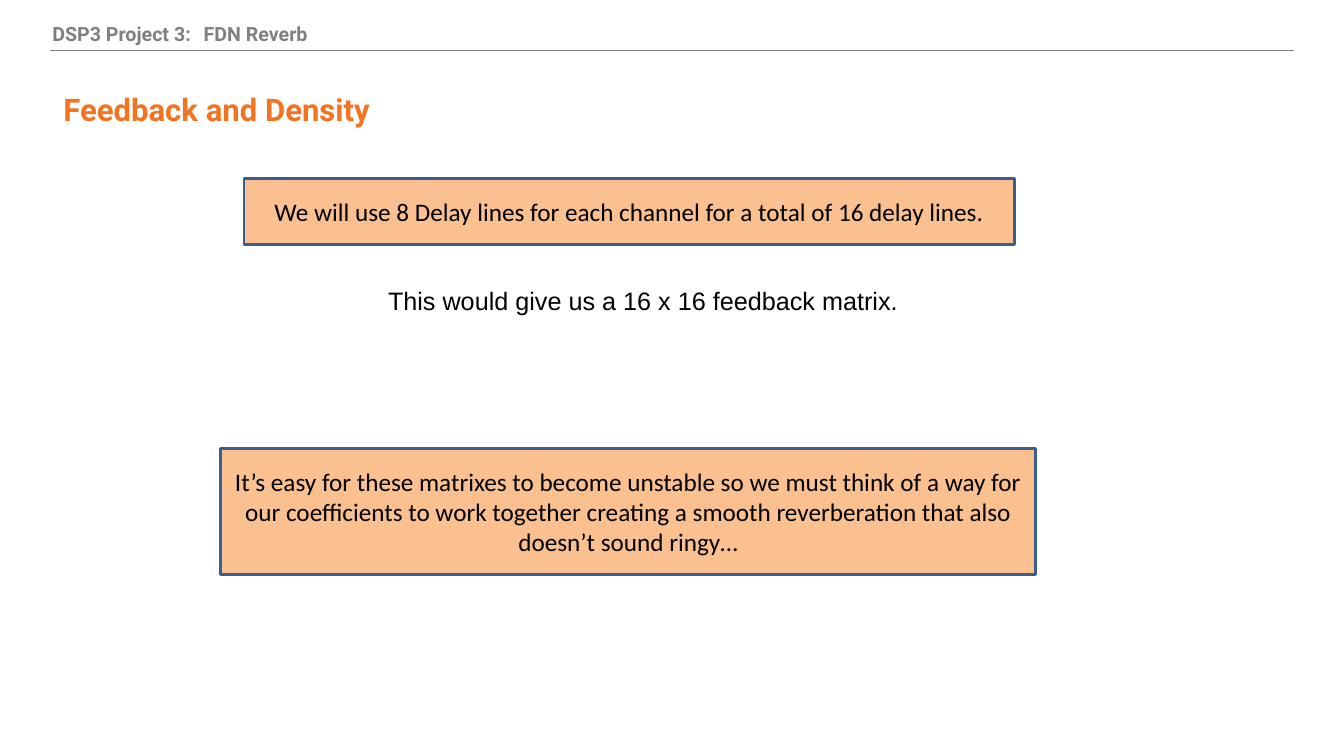
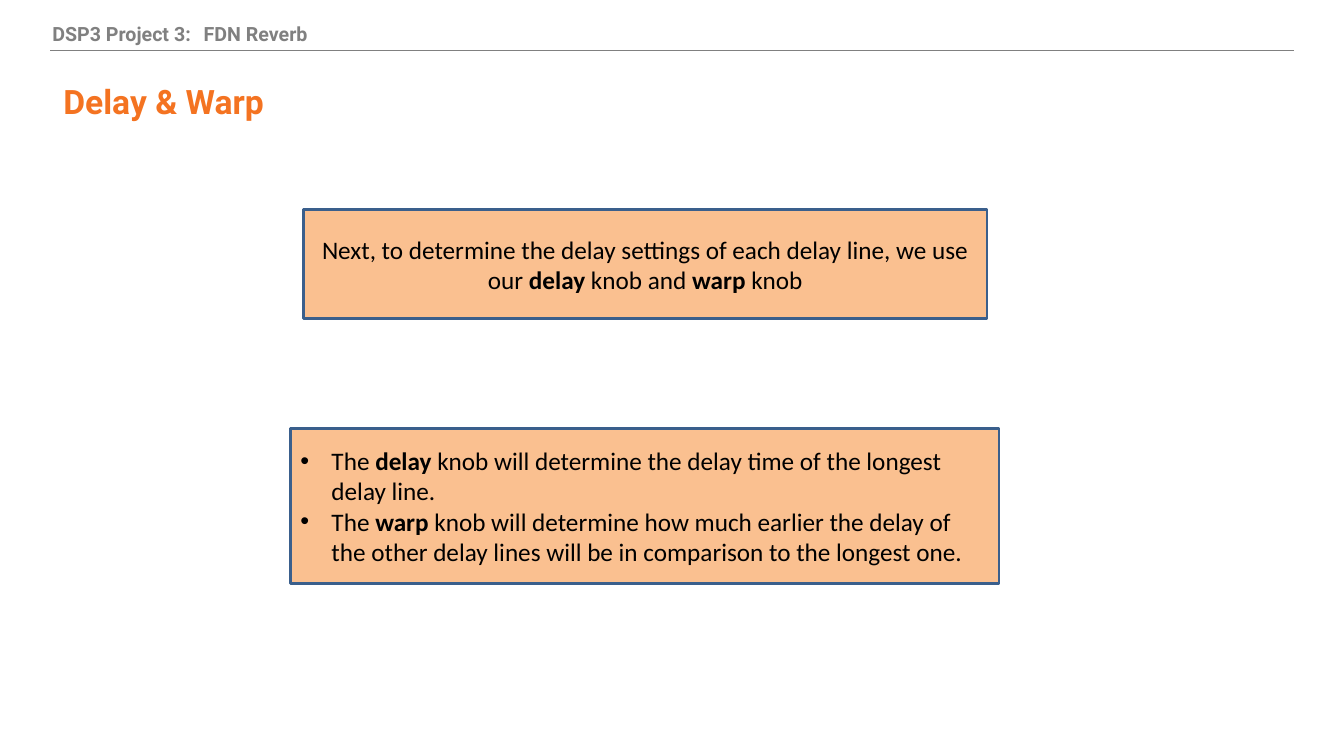
from lxml.etree import SubElement
from pptx import Presentation
from pptx.dml.color import RGBColor
from pptx.enum.shapes import MSO_CONNECTOR, MSO_SHAPE
from pptx.enum.text import MSO_ANCHOR, PP_ALIGN
from pptx.oxml.ns import qn
from pptx.util import Inches, Pt

COLORS = {
    "ink": "000000",
    "gray": "808080",
    "title": "F47321",
    "fill": "FAC090",
    "edge": "3A5F8C",
}


def tint(name):
    return RGBColor.from_string(COLORS[name])


def add_dot(para):
    props = para._p.get_or_add_pPr()
    props.set("marL", str(Inches(0.31)))
    props.set("indent", str(-Inches(0.31)))
    SubElement(props, qn("a:buFont")).set("typeface", "Arial")
    SubElement(props, qn("a:buChar")).set("char", "•")


def write(frame, text, font="Calibri", size=18, color="ink", bold=False,
          align=PP_ALIGN.LEFT, anchor=MSO_ANCHOR.TOP, wrap=True, dots=False):
    frame.word_wrap = wrap
    frame.vertical_anchor = anchor
    for row, line in enumerate(text.split("\n")):
        para = frame.add_paragraph() if row else frame.paragraphs[0]
        para.alignment = align
        if dots:
            add_dot(para)
        for part, words in enumerate(line.split("**")):
            run = para.add_run()
            run.text = words
            run.font.name = font
            run.font.size = Pt(size)
            run.font.bold = bold or part % 2 == 1
            run.font.color.rgb = tint(color)


class Deck:
    def __init__(self):
        self.show = Presentation()
        self.show.slide_width = Inches(13.33)
        self.show.slide_height = Inches(7.5)
        self.slide = None

    def page(self, title, width, height, size):
        self.slide = self.show.slides.add_slide(self.show.slide_layouts[6])
        self.rule(0.5, 0.5, 12.83)
        self.label("DSP3 Project 3:\tFDN Reverb", 0.42, 0.17, 8.75, 0.34,
                   font="Roboto", size=14, color="gray", bold=True)
        self.label(title, 0.53, 0.75, width, height, font="Roboto", size=size,
                   color="title", bold=True, anchor=MSO_ANCHOR.MIDDLE)

    def rule(self, left, top, right):
        line = self.slide.shapes.add_connector(
            MSO_CONNECTOR.STRAIGHT, Inches(left), Inches(top), Inches(right), Inches(top))
        line.line.color.rgb = tint("gray")
        line.line.width = Pt(0.75)
        SubElement(line._element.spPr, qn("a:effectLst"))

    def label(self, text, left, top, width, height, **form):
        area = self.slide.shapes.add_textbox(
            Inches(left), Inches(top), Inches(width), Inches(height))
        write(area.text_frame, text, **form)

    def box(self, text, left, top, width, height, **form):
        rect = self.slide.shapes.add_shape(
            MSO_SHAPE.RECTANGLE, Inches(left), Inches(top), Inches(width), Inches(height))
        rect.shadow.inherit = False
        rect.fill.solid()
        rect.fill.fore_color.rgb = tint("fill")
        rect.line.color.rgb = tint("edge")
        rect.line.width = Pt(2)
        style = {"align": PP_ALIGN.CENTER, "anchor": MSO_ANCHOR.MIDDLE} | form
        write(rect.text_frame, text, **style)


def main():
    deck = Deck()

    deck.page("Feedback and Density", 3.7, 0.66, 22.2)
    deck.box("We will use 8 Delay lines for each channel for a total of 16 delay lines.",
             2.42, 1.77, 7.64, 0.66)
    deck.label("This would give us a 16 x 16 feedback matrix.",
               3.75, 2.78, 5.31, 0.4, font="Arial", wrap=False)
    deck.box("It’s easy for these matrixes to become unstable so we must think of a way "
             "for our coefficients to work together creating a smooth reverberation that "
             "also doesn’t sound ringy…", 2.19, 4.45, 8.08, 1.25)

    deck.page("Delay & Warp", 2.47, 0.5, 24)
    deck.box("Next, to determine the delay settings of each delay line, we use our "
             "**delay** knob and **warp** knob", 3.01, 2.08, 6.78, 1.08)
    deck.box("The **delay** knob will determine the delay time of the longest delay line.\n"
             "The **warp** knob will determine how much earlier the delay of the other "
             "delay lines will be in comparison to the longest one.",
             2.88, 4.25, 7.03, 1.54, align=PP_ALIGN.LEFT, dots=True)

    deck.show.save("out.pptx")


if __name__ == "__main__":
    main()
